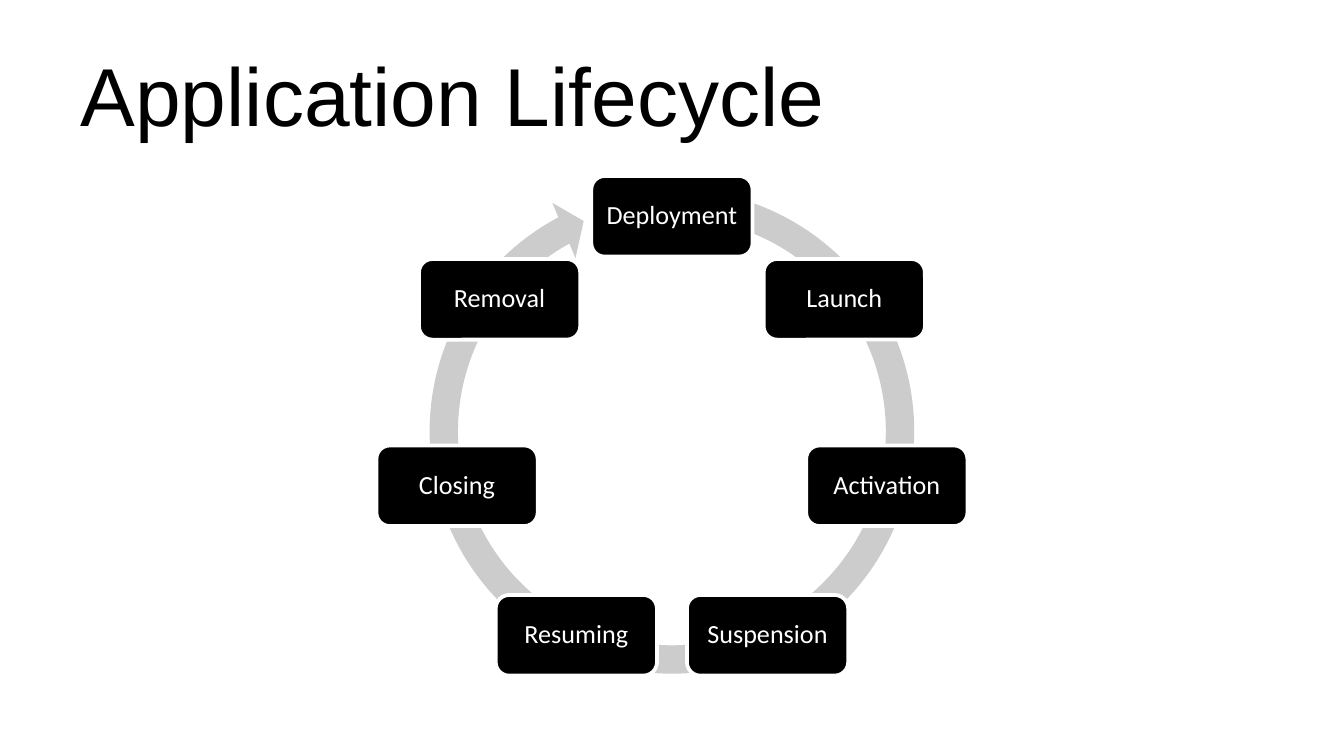
import math
from dataclasses import dataclass

import pptx
import pptx.dml.color
import pptx.enum.shapes
import pptx.enum.text
import pptx.shapes.autoshape
import pptx.shapes.group
import pptx.slide
import pptx.util

Inches = pptx.util.Inches
Pt = pptx.util.Pt
RGB = pptx.dml.color.RGBColor
SHAPE = pptx.enum.shapes.MSO_SHAPE
ALIGN = pptx.enum.text.PP_ALIGN
ANCHOR = pptx.enum.text.MSO_ANCHOR


@dataclass(frozen=True)
class Theme:
    black: RGB = RGB(0x00, 0x00, 0x00)
    white: RGB = RGB(0xFF, 0xFF, 0xFF)
    ring: RGB = RGB(0xCC, 0xCC, 0xCC)
    title_font: str = "Arial"
    stage_font: str = "Calibri"
    title_size: int = 44
    stage_size: int = 14
    outline: int = 2


@dataclass(frozen=True)
class Stage:
    name: str
    x: float
    y: float


THEME = Theme()
SLIDE_W = 10
SLIDE_H = SLIDE_W * 9 / 16
CENTER_X, CENTER_Y, RADIUS = 5, 3.25, 1.64
STAGE_W, STAGE_H = 1.2, 0.6
RING_LEFT, RING_TOP, RING_SIZE = 3.08, 1.29, 3.84
RING_ADJUSTMENTS = (0.055, 3.307, 145.041, 169.569, 0.058)
STAGE_NAMES = (
    "Deployment", "Launch", "Activation", "Suspension",
    "Resuming", "Closing", "Removal",
)


def place_stages(names: tuple[str, ...]) -> list[Stage]:
    step = math.tau / len(names)
    return [
        Stage(
            name,
            CENTER_X + RADIUS * math.sin(i * step),
            CENTER_Y - RADIUS * math.cos(i * step),
        )
        for i, name in enumerate(names)
    ]


def format_title(title: pptx.shapes.autoshape.Shape) -> None:
    title.left, title.top = Inches(0.5), Inches(0.23)
    title.width, title.height = Inches(9), Inches(0.94)
    tf = title.text_frame
    tf.text = "Application Lifecycle"
    tf.vertical_anchor = ANCHOR.MIDDLE
    p = tf.paragraphs[0]
    p.alignment = ALIGN.LEFT
    font = p.runs[0].font
    font.name, font.size = THEME.title_font, Pt(THEME.title_size)
    font.color.rgb = THEME.black


def add_ring(group: pptx.shapes.group.GroupShape) -> None:
    ring = group.shapes.add_shape(
        SHAPE.CIRCULAR_ARROW, Inches(RING_LEFT), Inches(RING_TOP),
        Inches(RING_SIZE), Inches(RING_SIZE),
    )
    for i, value in enumerate(RING_ADJUSTMENTS):
        ring.adjustments[i] = value
    ring.shadow.inherit = False
    ring.fill.solid()
    ring.fill.fore_color.rgb = THEME.ring
    ring.line.fill.background()


def add_stage(group: pptx.shapes.group.GroupShape, stage: Stage) -> None:
    sp = group.shapes.add_shape(
        SHAPE.ROUNDED_RECTANGLE,
        Inches(stage.x - STAGE_W / 2), Inches(stage.y - STAGE_H / 2),
        Inches(STAGE_W), Inches(STAGE_H),
    )
    sp.shadow.inherit = False
    sp.fill.solid()
    sp.fill.fore_color.rgb = THEME.black
    sp.line.color.rgb = THEME.white
    sp.line.width = Pt(THEME.outline)
    tf = sp.text_frame
    tf.text = stage.name
    tf.word_wrap = True
    tf.vertical_anchor = ANCHOR.MIDDLE
    tf.margin_left = tf.margin_right = Inches(0.06)
    tf.margin_top = tf.margin_bottom = Inches(0.06)
    p = tf.paragraphs[0]
    p.alignment = ALIGN.CENTER
    p.line_spacing = 0.9
    font = p.runs[0].font
    font.name, font.size = THEME.stage_font, Pt(THEME.stage_size)
    font.color.rgb = THEME.white


def main() -> None:
    prs = pptx.Presentation()
    prs.slide_width, prs.slide_height = Inches(SLIDE_W), Inches(SLIDE_H)
    s = prs.slides.add_slide(prs.slide_layouts[5])
    format_title(s.shapes.title)
    cycle = s.shapes.add_group_shape()
    add_ring(cycle)
    for stage in place_stages(STAGE_NAMES):
        add_stage(cycle, stage)
    prs.save("out.pptx")


if __name__ == "__main__":
    main()
